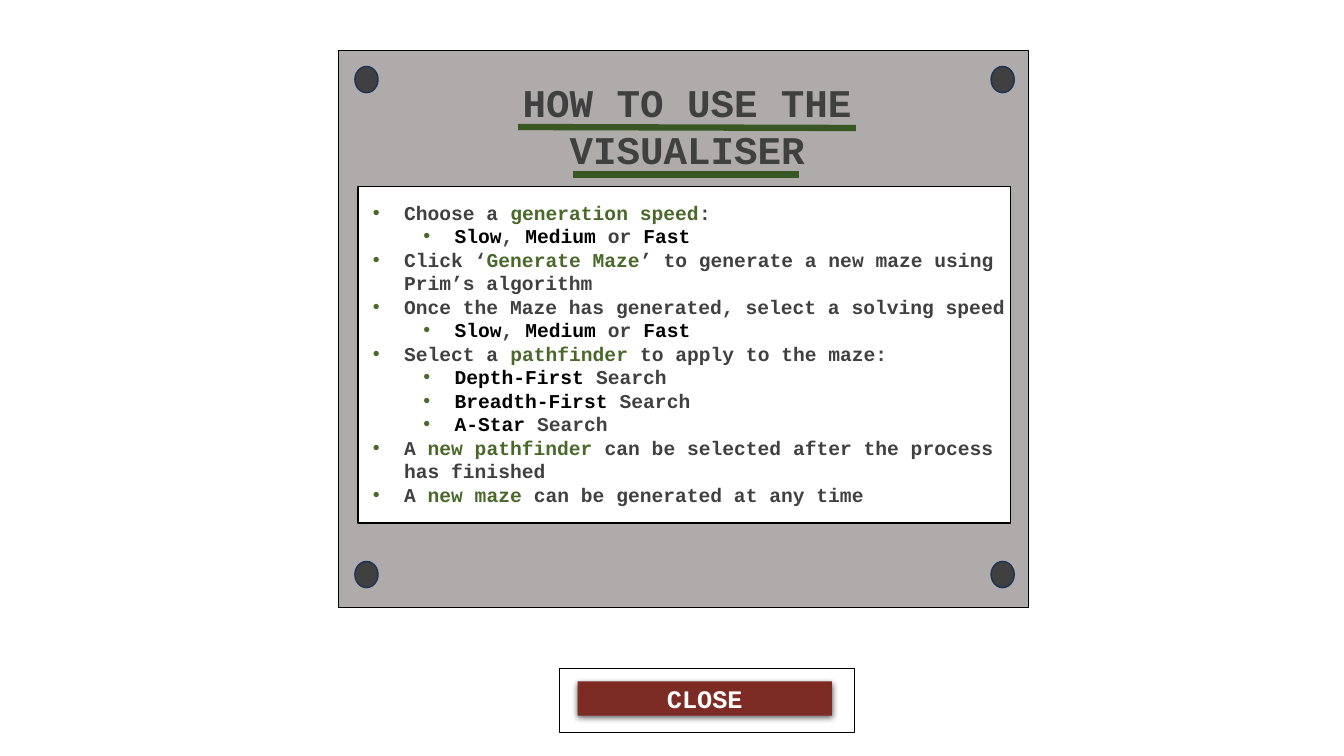
from lxml import etree
from pptx import Presentation
from pptx.dml.color import RGBColor
from pptx.enum.shapes import MSO_CONNECTOR, MSO_SHAPE
from pptx.enum.text import MSO_ANCHOR, PP_ALIGN
from pptx.oxml.ns import qn
from pptx.util import Inches, Pt

RECT = MSO_SHAPE.RECTANGLE
OVAL = MSO_SHAPE.OVAL
LINE = MSO_CONNECTOR.STRAIGHT
CENTER = PP_ALIGN.CENTER
MIDDLE = MSO_ANCHOR.MIDDLE

COLORS = {
    "panel": "AFABAB",
    "dark": "404040",
    "rim": "1E3256",
    "rule": "385723",
    "green": "49682A",
    "red": "7D2B25",
    "white": "FFFFFF",
    "black": "000000",
}

# (level, text); words between bars are highlighted
SPEEDS = (1, "|Slow|, |Medium| or |Fast|")
STEPS = [
    (0, "Choose a |generation speed|:"),
    SPEEDS,
    (0, "Click ‘|Generate Maze|’ to generate a new maze using Prim’s algorithm"),
    (0, "Once the Maze has generated, select a solving speed"),
    SPEEDS,
    (0, "Select a |pathfinder| to apply to the maze:"),
    (1, "|Depth-First| Search"),
    (1, "|Breadth-First| Search"),
    (1, "|A-Star| Search"),
    (0, "A |new pathfinder |can be selected after the process has finished"),
    (0, "A |new maze |can be generated at any time"),
]
ACCENTS = ["green", "black"]


class Deck:
    def __init__(self, slide, font):
        self.slide = slide
        self.font = font

    def color(self, name):
        return RGBColor.from_string(COLORS[name])

    def shape(self, kind, box, fill=None, line=None, width=1):
        item = self.slide.shapes.add_shape(kind, *map(Inches, box))
        item.shadow.inherit = False
        if fill:
            item.fill.solid()
            item.fill.fore_color.rgb = self.color(fill)
        else:
            item.fill.background()
        if line:
            item.line.color.rgb = self.color(line)
            item.line.width = Pt(width)
        else:
            item.line.fill.background()
        return item

    def rule(self, start, end):
        ends = map(Inches, (*start, *end))
        item = self.slide.shapes.add_connector(LINE, *ends)
        item.line.color.rgb = self.color("rule")
        item.line.width = Pt(4.5)
        etree.SubElement(item._element.spPr, qn("a:effectLst"))

    def box(self, box):
        frame = self.slide.shapes.add_textbox(*map(Inches, box)).text_frame
        frame.word_wrap = True
        return frame

    def style(self, run, size, color):
        run.font.name = self.font
        run.font.size = Pt(size)
        run.font.bold = True
        run.font.color.rgb = self.color(color)

    def label(self, frame, text, size, color):
        frame.text = text
        para = frame.paragraphs[0]
        para.alignment = CENTER
        self.style(para.runs[0], size, color)

    def bullet(self, para, level):
        para.level = level
        props = para._p.get_or_add_pPr()
        props.set("marL", str(Inches(0.31 + 0.5 * level)))
        props.set("indent", str(Inches(-0.31)))
        tint = etree.SubElement(props, qn("a:buClr"))
        etree.SubElement(tint, qn("a:srgbClr"), val=COLORS["green"])
        etree.SubElement(props, qn("a:buFont"), typeface="Arial")
        etree.SubElement(props, qn("a:buChar"), char="•")

    def steps(self, frame, items):
        for i, (level, text) in enumerate(items):
            para = frame.add_paragraph() if i else frame.paragraphs[0]
            self.bullet(para, level)
            for j, part in enumerate(text.split("|")):
                if part:
                    run = para.add_run()
                    run.text = part
                    self.style(run, 14, ACCENTS[level] if j % 2 else "dark")

    def shade(self, item):
        """Give the shape a soft shadow below it."""
        effects = item._element.spPr.find(qn("a:effectLst"))
        outer = etree.SubElement(
            effects, qn("a:outerShdw"), blurRad=str(Pt(4.5)),
            dist=str(Pt(1.5)), dir="5400000", algn="ctr", rotWithShape="0")
        tint = etree.SubElement(outer, qn("a:srgbClr"), val=COLORS["black"])
        etree.SubElement(tint, qn("a:alpha"), val="63000")


def main():
    prs = Presentation()
    prs.slide_width = Inches(13.33)
    prs.slide_height = Inches(7.5)
    deck = Deck(prs.slides.add_slide(prs.slide_layouts[6]), "Courier New")

    deck.shape(RECT, (3.36, 0.5, 6.84, 5.53), "panel", "black")
    deck.shape(RECT, (5.55, 6.63, 2.93, 0.64), line="black", width=0.75)
    for top in (0.66, 5.57):
        for left in (3.52, 9.83):
            deck.shape(OVAL, (left, top, 0.23, 0.26), "dark", "rim")

    deck.rule((7.92, 1.73), (5.68, 1.73))
    deck.shape(RECT, (3.55, 1.85, 6.47, 3.34), "white", "black")
    deck.steps(deck.box((3.6, 1.94, 6.63, 3.16)), STEPS)

    title = deck.box((4.85, 0.73, 3.93, 1.04))
    deck.label(title, "HOW TO USE THE VISUALISER", 28, "dark")
    deck.rule((8.49, 1.27), (5.14, 1.26))

    close = deck.shape(RECT, (5.73, 6.76, 2.52, 0.34), "red")
    deck.shade(close)
    close.text_frame.vertical_anchor = MIDDLE
    deck.label(close.text_frame, "CLOSE", 18, "white")

    prs.save("out.pptx")


if __name__ == "__main__":
    main()
